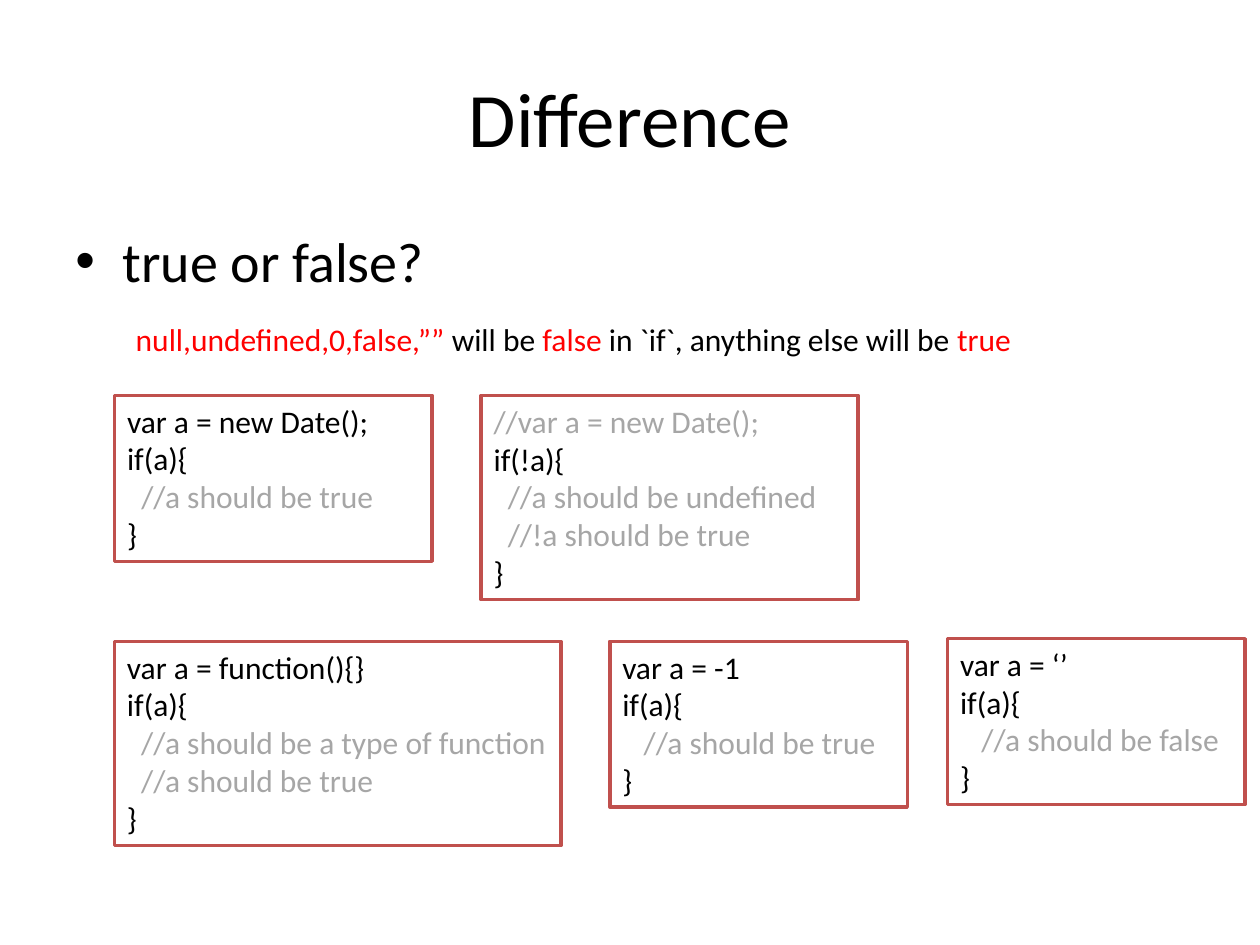
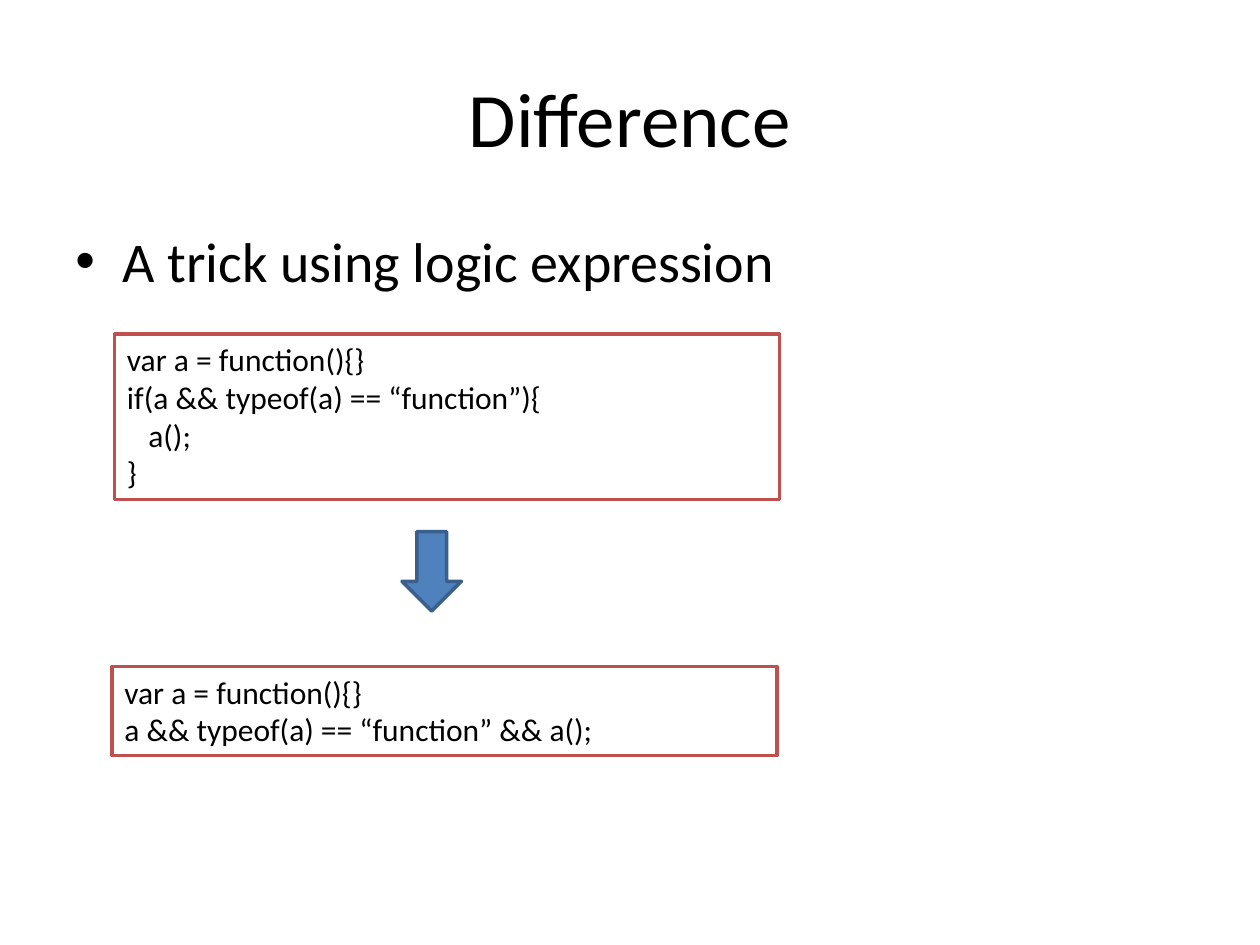
from pptx import Presentation
from pptx.dml.color import RGBColor
from pptx.enum.shapes import MSO_SHAPE
from pptx.enum.text import MSO_ANCHOR, MSO_AUTO_SIZE, PP_ALIGN
from pptx.oxml.ns import qn
from pptx.util import Pt
from lxml import etree

BLACK = RGBColor(0x00, 0x00, 0x00)
WHITE = RGBColor(0xFF, 0xFF, 0xFF)
RED = RGBColor(0xFF, 0x00, 0x00)
GRAY = RGBColor(0xA6, 0xA6, 0xA6)
BRICK = RGBColor(0xC0, 0x50, 0x4D)
BLUE = RGBColor(0x4F, 0x81, 0xBD)
DARK_BLUE = RGBColor(0x3A, 0x5F, 0x8C)
FONT = "Calibri"
CODE_SIZE = 18
SPACE_WIDTH = 4.07  # one space at code size
LEFT = 65.5
IF_A = "if(a){"


def add_run(p, text, size=CODE_SIZE, color=BLACK):
    """Append one formatted run to a paragraph."""
    r = p.add_run()
    r.text = text
    r.font.name = FONT
    r.font.size = Pt(size)
    r.font.color.rgb = color


def set_indent(p, left, first=0):
    """Set the left margin and first-line indent of a paragraph."""
    pPr = p._p.get_or_add_pPr()
    pPr.set("marL", str(Pt(left)))
    pPr.set("indent", str(Pt(first)))
    return pPr


def add_topic_slide(prs, topic):
    """Add a slide with the shared title and one bulleted topic."""
    s = prs.slides.add_slide(prs.slide_layouts[5])
    title = s.shapes.title
    title.left, title.top, title.width, title.height = Pt(36), Pt(21.6), Pt(648), Pt(90)
    title.text_frame.vertical_anchor = MSO_ANCHOR.MIDDLE
    p = title.text_frame.paragraphs[0]
    p.alignment = PP_ALIGN.CENTER
    add_run(p, "Difference", 44)

    tf = s.shapes.add_textbox(Pt(36), Pt(126), Pt(648), Pt(56)).text_frame
    tf.word_wrap = True
    p = tf.paragraphs[0]
    pPr = set_indent(p, 27, -27)
    etree.SubElement(pPr, qn("a:buFont")).set("typeface", "Arial")
    etree.SubElement(pPr, qn("a:buChar")).set("char", "•")
    add_run(p, topic, 32)
    return s


def add_rule(s, left, top, width, height, parts):
    """Add a single line of text made of (text, colour) parts."""
    tf = s.shapes.add_textbox(Pt(left), Pt(top), Pt(width), Pt(height)).text_frame
    tf.word_wrap = False
    tf.auto_size = MSO_AUTO_SIZE.SHAPE_TO_FIT_TEXT
    for text, color in parts:
        add_run(tf.paragraphs[0], text, color=color)


def add_filled_shape(s, kind, left, top, width, height, fill, line):
    """Add a preset shape with a flat fill and a 2 pt outline."""
    sp = s.shapes.add_shape(kind, Pt(left), Pt(top), Pt(width), Pt(height))
    sp.shadow.inherit = False
    sp.fill.solid()
    sp.fill.fore_color.rgb = fill
    sp.line.color.rgb = line
    sp.line.width = Pt(2)
    return sp


def add_code(s, left, top, width, lines):
    """Add a code box; leading spaces become indents, comments turn gray."""
    height = 7.2 + 21.9 * len(lines)
    sp = add_filled_shape(s, MSO_SHAPE.RECTANGLE, left, top, width, height, WHITE, BRICK)
    tf = sp.text_frame
    tf.word_wrap = True
    tf.auto_size = MSO_AUTO_SIZE.SHAPE_TO_FIT_TEXT
    tf.vertical_anchor = MSO_ANCHOR.TOP
    for i, line in enumerate(lines):
        p = tf.add_paragraph() if i else tf.paragraphs[0]
        p.alignment = PP_ALIGN.LEFT
        code = line.lstrip()
        set_indent(p, SPACE_WIDTH * (len(line) - len(code)))
        add_run(p, code, color=GRAY if code.startswith("//") else BLACK)


def build_truth_slide(prs):
    """Show which values count as true or false."""
    s = add_topic_slide(prs, "true or false?")
    add_rule(s, 70.5, 179.3, 520.5, 29, [
        ("null,undefined,0,false,”” ", RED), ("will be ", BLACK), ("false", RED),
        (" in `if`, anything else will be ", BLACK), ("true", RED)])
    upper, lower = 226, 366.5
    add_code(s, LEFT, upper, 181.5,
             ["var a = new Date();", IF_A, "  //a should be true", "}"])
    add_code(s, 275, upper, 215.5,
             ["//var a = new Date();", "if(!a){", "  //a should be undefined",
              "  //!a should be true", "}"])
    add_code(s, LEFT, lower, 255,
             ["var a = function(){}", IF_A, "  //a should be a type of function",
              "  //a should be true", "}"])
    add_code(s, 348.5, lower, 170,
             ["var a = -1", IF_A, "   //a should be true", "}"])
    add_code(s, 541.5, lower - 1.5, 170,
             ["var a = ‘’", IF_A, "   //a should be false", "}"])


def build_trick_slide(prs):
    """Show an if statement shortened to a logic expression."""
    s = add_topic_slide(prs, "A trick using logic expression")
    add_code(s, LEFT - 1.5, 380.8, 380,
             ["var a = function(){}", "a && typeof(a) == “function” && a();"])
    add_code(s, LEFT, 190.8, 380,
             ["var a = function(){}", "if(a && typeof(a) == “function”){", "   a();", "}"])
    add_filled_shape(s, MSO_SHAPE.DOWN_ARROW, 229.7, 303.8, 34, 45.4, BLUE, DARK_BLUE)


def main():
    """Build and save the presentation."""
    prs = Presentation()
    prs.slide_width, prs.slide_height = Pt(720), Pt(540)
    build_truth_slide(prs)
    build_trick_slide(prs)
    prs.save("out.pptx")


main()
